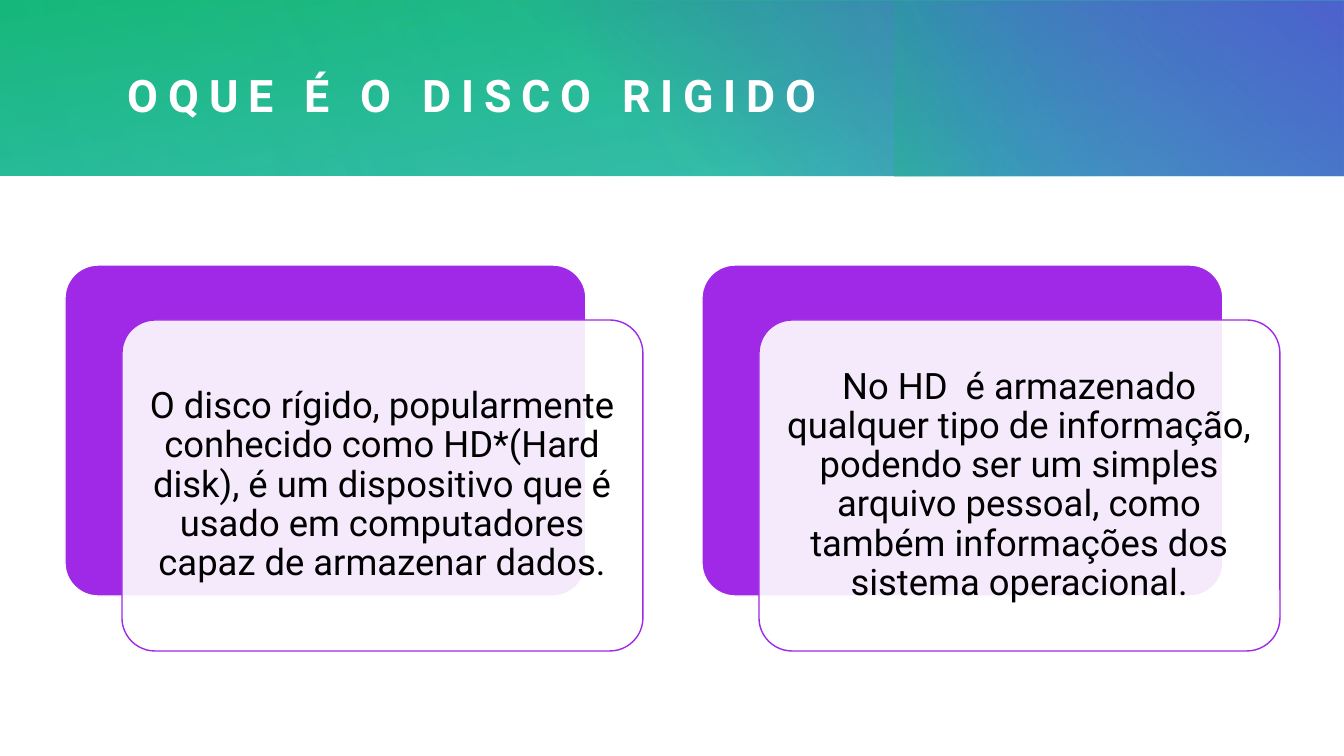
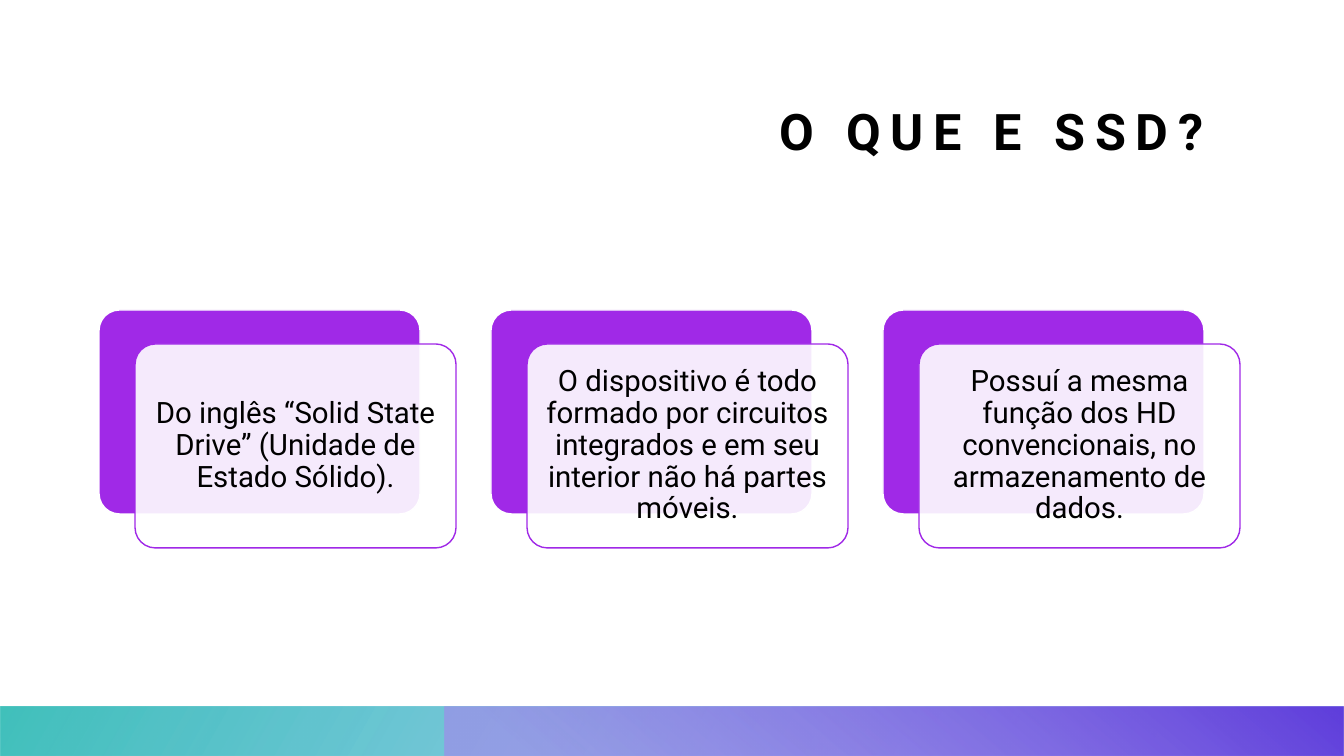
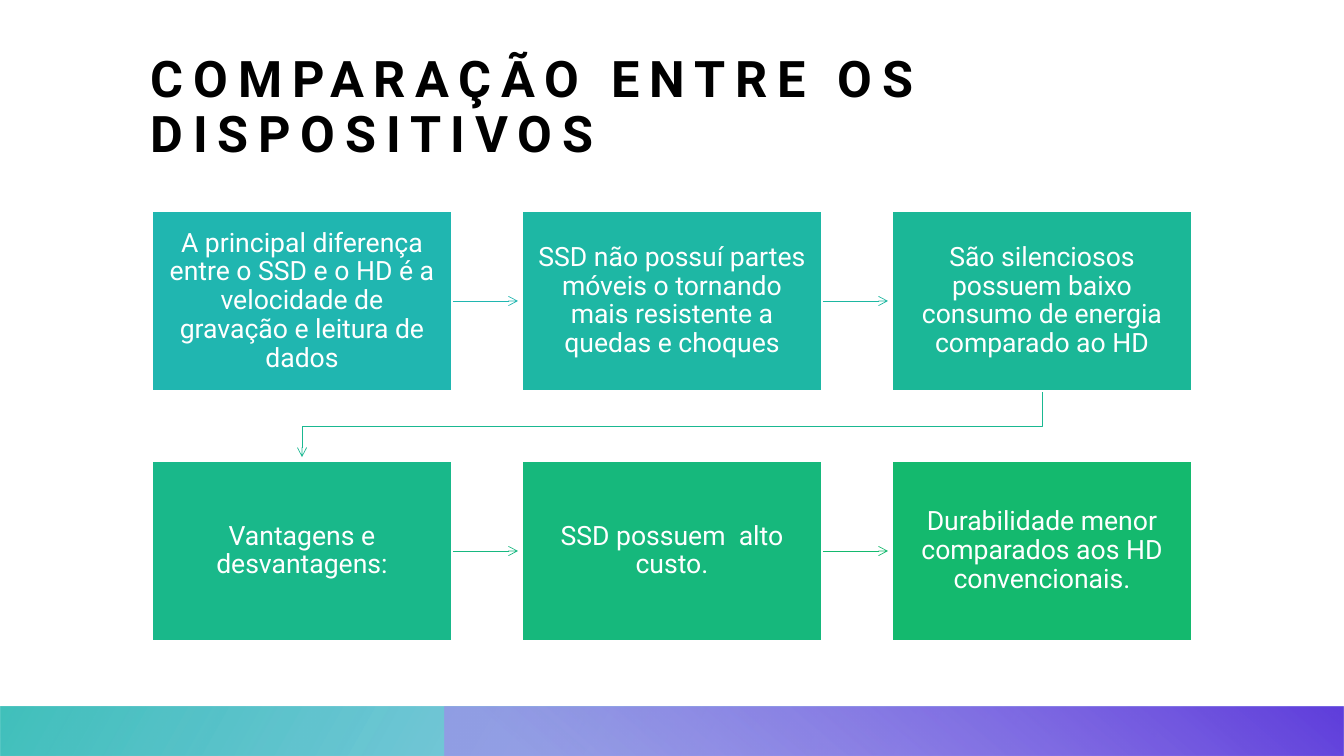
from pptx import Presentation
from pptx.dml.color import RGBColor
from pptx.enum.shapes import MSO_CONNECTOR as CONN, MSO_SHAPE as SHAPE
from pptx.enum.text import MSO_ANCHOR as ANCHOR, MSO_AUTO_SIZE as AUTO, PP_ALIGN as ALIGN
from pptx.oxml import parse_xml
from pptx.oxml.ns import nsdecls, qn
from pptx.util import Pt
from lxml.etree import SubElement

PX = 12192000 / 1344
FONT = "Roboto"
WHITE, BLACK, PURPLE = "FFFFFF", "000000", "A029E7"
TEAL, GREEN, BLUE, INDIGO, LILAC = "20B6B0", "14B96E", "178DD5", "603FDC", "A08CEA"

# place, rotation, flipped, angle, stops (position, colour, opacity)
HEADER = [
    ((0, 0, 1344, 176), 0, False, 260, [(0, TEAL, 83), (100, GREEN, 100)]),
    ((485, 1, 859, 175), 0, False, 310, [(22, INDIGO, 0), (99, INDIGO, 100)]),
    ((995, -100, 176, 377), 270, False, 250, [(45, BLUE, 0), (99, GREEN, 33)]),
    ((270, 0, 1073, 176), 180, False, 330, [(0, TEAL, 30), (99, TEAL, 0)]),
    ((0, 0, 872, 176), 0, False, 340, [(0, TEAL, 21), (99, TEAL, 0)]),
]
FOOTER = [
    ((0, 707, 1344, 49), 180, True, 150, [(14, BLUE, 28), (100, TEAL, 85)]),
    ((445, 707, 899, 49), 0, True, 230, [(9, LILAC, 68), (99, INDIGO, 100)]),
]
DISK_CARDS = [
    "O disco rígido, popularmente conhecido como HD*(Hard disk), é um dispositivo "
    "que é usado em computadores capaz de armazenar dados.",
    "No HD  é armazenado qualquer tipo de informação, podendo ser um simples arquivo "
    "pessoal, como também informações dos sistema operacional.",
]
SSD_CARDS = [
    "Do inglês “Solid State Drive” (Unidade de Estado Sólido).",
    "O dispositivo é todo formado por circuitos integrados e em seu interior não há "
    "partes móveis.",
    "Possuí a mesma função dos HD convencionais, no armazenamento de dados.",
]
# text, box colour, colour of the arrow that leaves it
STEPS = [
    ("A principal diferença entre o SSD e o HD é a velocidade de gravação e leitura "
     "de dados", TEAL, TEAL),
    ("SSD não possuí partes móveis o tornando mais resistente a quedas e choques",
     "1EB7A4", "1DB7A1"),
    ("São silenciosos possuem baixo consumo de energia comparado ao HD",
     "1BB797", "1AB891"),
    ("Vantagens e desvantagens:", "19B88A", "17B880"),
    ("SSD possuem  alto custo.", "16B87C", GREEN),
    ("Durabilidade menor comparados aos HD convencionais.", GREEN, None),
]


def emu(*lengths):
    return [round(v * PX) for v in lengths]


def rgb(color):
    return RGBColor.from_string(color)


def add_box(s, kind, place, fill=None, line=None):
    sp = s.shapes.add_shape(kind, *emu(*place))
    sp.shadow.inherit = False
    if fill:
        sp.fill.solid()
        sp.fill.fore_color.rgb = rgb(fill)
    if line:
        sp.line.color.rgb = rgb(line)
        sp.line.width = Pt(1)
    else:
        sp.line.fill.background()
    return sp


def add_band(s, parts):
    for place, rotation, flipped, angle, stops in parts:
        sp = add_box(s, SHAPE.RECTANGLE, place)
        sp.rotation = rotation
        spPr = sp._element.spPr
        if flipped:
            spPr.find(qn("a:xfrm")).set("flipH", "1")
        marks = "".join(
            f'<a:gs pos="{pos * 1000}"><a:srgbClr val="{color}">'
            f'<a:alpha val="{alpha * 1000}"/></a:srgbClr></a:gs>'
            for pos, color, alpha in stops)
        spPr.insert(2, parse_xml(
            f'<a:gradFill {nsdecls("a")} rotWithShape="1"><a:gsLst>{marks}</a:gsLst>'
            f'<a:lin ang="{angle * 60000}" scaled="0"/></a:gradFill>'))


def write(sp, text, size, color, align, anchor, inset, bold=False, spacing=None):
    tf = sp.text_frame
    tf.text = text
    tf.word_wrap = True
    tf.auto_size = AUTO.NONE
    tf.vertical_anchor = anchor
    tf.margin_left, tf.margin_top, tf.margin_right, tf.margin_bottom = emu(*[inset] * 4)
    p = tf.paragraphs[0]
    p.alignment = align
    if spacing:
        p.line_spacing = spacing
    p.font.name = FONT
    p.font.size = Pt(size)
    p.font.bold = bold
    p.font.color.rgb = rgb(color)
    return p


def add_slide(prs, band, title, place, size, color, align, anchor, spacing=None):
    s = prs.slides.add_slide(prs.slide_layouts[5])
    add_band(s, band)
    sp = s.shapes.title
    sp.left, sp.top, sp.width, sp.height = emu(*place)
    p = write(sp, title, size, color, align, anchor, 0, True, spacing)
    p.font._element.set("spc", "700")
    s.shapes._spTree.append(sp._element)
    return s


def add_cards(s, texts, left, top, width, height, pitch, dx, dy, size, inset):
    for i, text in enumerate(texts):
        x = left + i * pitch
        back = add_box(s, SHAPE.ROUNDED_RECTANGLE, (x, top, width, height), PURPLE, WHITE)
        front = add_box(s, SHAPE.ROUNDED_RECTANGLE, (x + dx, top + dy, width, height),
                        WHITE, PURPLE)
        for sp in (back, front):
            sp.adjustments[0] = 0.1
        white = front._element.spPr.find(qn("a:solidFill"))[0]
        SubElement(white, qn("a:alpha")).set("val", "90000")
        write(front, text, size, BLACK, ALIGN.CENTER, ANCHOR.MIDDLE, inset, spacing=0.9)


def add_arrow(s, points, color):
    if len(points) == 2:
        sp = s.shapes.add_connector(CONN.STRAIGHT, *emu(*points[0], *points[1]))
    else:
        builder = s.shapes.build_freeform(*points[0], scale=PX)
        builder.add_line_segments(points[1:], close=False)
        sp = builder.convert_to_shape()
        sp.fill.background()
    sp.line.color.rgb = rgb(color)
    sp.line.width = Pt(0.5)
    spPr = sp._element.spPr
    SubElement(spPr.find(qn("a:ln")), qn("a:tailEnd")).set("type", "arrow")
    SubElement(spPr, qn("a:effectLst"))


def add_steps(s, steps, left, top, width, height, pitch_x, pitch_y, columns, reach):
    for i, (text, fill, arrow) in enumerate(steps):
        row, col = divmod(i, columns)
        x, y = left + col * pitch_x, top + row * pitch_y
        right, bottom = x + width, y + height
        mid_x, mid_y = x + width // 2, y + height // 2
        if arrow and col < columns - 1:
            add_arrow(s, [(right, mid_y), (right + reach, mid_y)], arrow)
        elif arrow:
            first_x = left + width // 2
            turn_y = (bottom + y + pitch_y) // 2
            add_arrow(s, [(mid_x, bottom), (mid_x, turn_y), (first_x, turn_y),
                          (first_x, bottom + reach)], arrow)
        sp = add_box(s, SHAPE.RECTANGLE, (x, y, width, height), fill, WHITE)
        write(sp, text, 19, WHITE, ALIGN.CENTER, ANCHOR.MIDDLE, 15, spacing=0.9)


prs = Presentation()
prs.slide_width, prs.slide_height = emu(1344, 756)

s = add_slide(prs, HEADER, "OQUE É O DISCO RIGIDO", (128, 41, 1144, 107), 32, WHITE,
              ALIGN.LEFT, ANCHOR.MIDDLE)
add_cards(s, DISK_CARDS, 65, 265, 521, 331, 637, 57, 55, 26, 11)

s = add_slide(prs, FOOTER, "O QUE E SSD?", (151, 50, 1053, 111), 36, BLACK,
              ALIGN.RIGHT, ANCHOR.BOTTOM)
add_cards(s, SSD_CARDS, 99, 310, 321, 204, 392, 36, 34, 21, 9)

s = add_slide(prs, FOOTER, "COMPARAÇÃO ENTRE OS DISPOSITIVOS", (151, 52, 1041, 111), 36,
              BLACK, ALIGN.LEFT, ANCHOR.BOTTOM, 0.9)
add_steps(s, STEPS, 152, 211, 300, 180, 370, 250, 3, 66)

prs.save("out.pptx")
